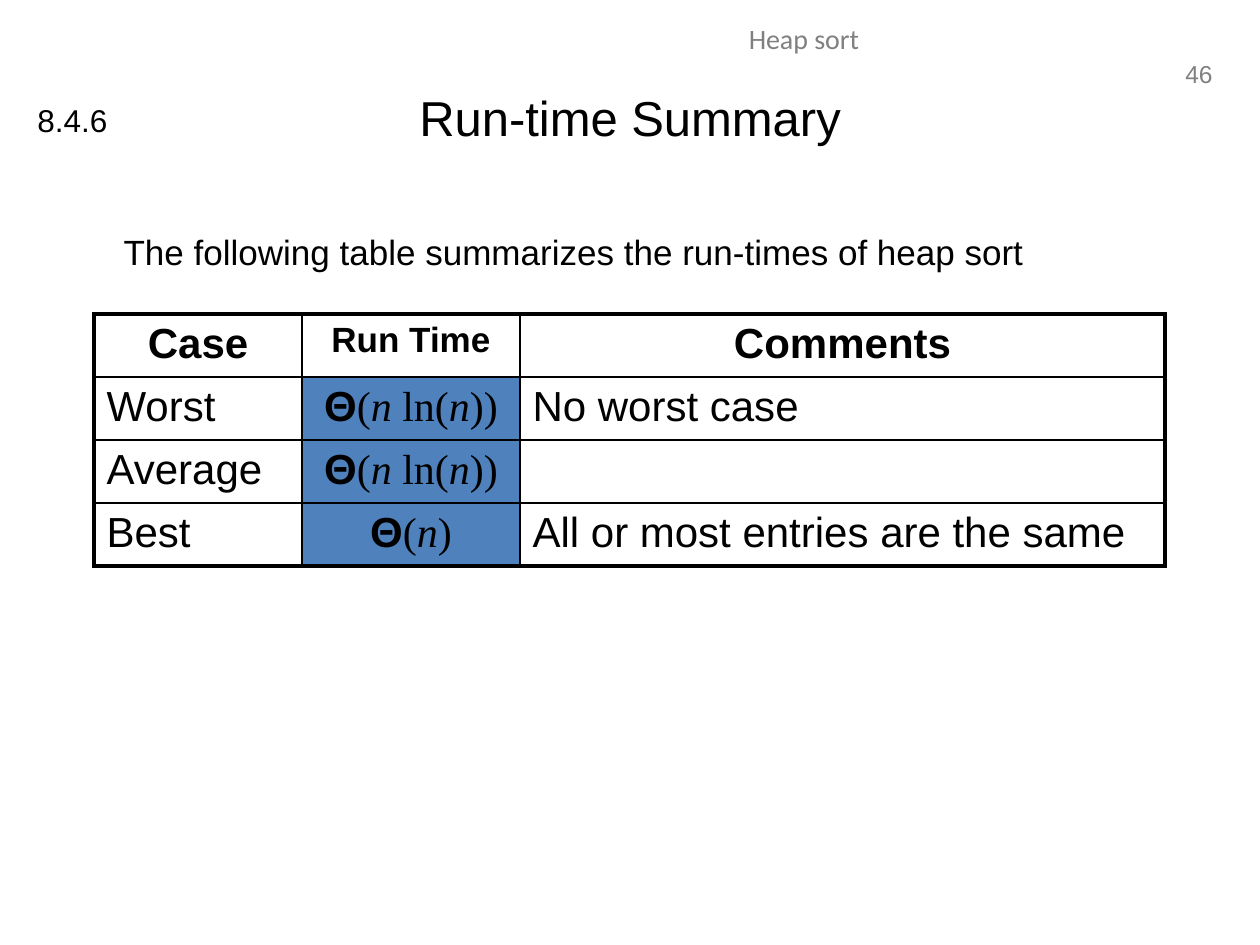
import pptx
import pptx.dml.color
import pptx.enum.text
import pptx.oxml
import pptx.oxml.ns
import pptx.util

SCALE = 914400 / 126  # EMU in one px
COLORS = {"text": "000000", "muted": "808080", "accent": "4F81BD"}
ALIGN = pptx.enum.text.PP_ALIGN
ANCHOR = pptx.enum.text.MSO_ANCHOR
HEAVY, THIN = 2.25, 1


def px(length):
    return pptx.util.Emu(round(length * SCALE))


def rgb(name):
    return pptx.dml.color.RGBColor.from_string(COLORS[name])


def place(shape, box):
    shape.left, shape.top, shape.width, shape.height = map(px, box)


def write_text(text_frame, text, size=24, font="Arial", color="text",
               bold=False, align=ALIGN.LEFT):
    """Text is a string, or a list of (string, run format) pairs."""
    paragraph = text_frame.paragraphs[0]
    paragraph.alignment = align
    paragraph.space_before = pptx.util.Pt(0)
    pieces = [(text, {})] if isinstance(text, str) else text
    for piece, changes in pieces:
        run = paragraph.add_run()
        run.text = piece
        run.font.size = pptx.util.Pt(size)
        run.font.name = changes.get("font", font)
        run.font.bold = changes.get("bold", bold)
        run.font.italic = changes.get("italic", False)
        run.font.color.rgb = rgb(color)


def add_label(slide, box, text, wrap=False, **text_format):
    shape = slide.shapes.add_textbox(*map(px, box))
    shape.text_frame.word_wrap = wrap
    write_text(shape.text_frame, text, **text_format)


def add_header(slide, box):
    left, top, width, height = box
    add_label(slide, (left + width - 90, top + 38, 55, 42), "46",
              size=14, color="muted", align=ALIGN.RIGHT)
    add_label(slide, (left + 402, top, 804, 50), "Heap sort", wrap=True,
              size=16, font="Calibri", color="muted", align=ALIGN.CENTER)
    add_label(slide, (left + 25, top + 80, 96, 50), "8.4.6", size=18)


def fill_title(slide, box):
    title = slide.shapes.title
    place(title, box)
    title.text_frame.vertical_anchor = ANCHOR.MIDDLE
    write_text(title.text_frame, "Run-time Summary", size=28, align=ALIGN.CENTER)


def fill_body(slide, box):
    body = slide.placeholders[1]
    place(body, box)
    properties = body.text_frame.paragraphs[0]._p.get_or_add_pPr()
    properties.set("marL", str(px(48)))
    properties.set("indent", "0")
    properties.append(pptx.oxml.parse_xml(
        f"<a:buNone {pptx.oxml.ns.nsdecls('a')}/>"))
    write_text(body.text_frame,
               "The following table summarizes the run-times of heap sort", size=20)


def set_borders(cell, **widths):
    properties = cell._tc.get_or_add_tcPr()
    for side in "LRTB":
        properties.append(pptx.oxml.parse_xml(
            f'<a:ln{side} {pptx.oxml.ns.nsdecls("a")} w="{pptx.util.Pt(widths[side])}">'
            f'<a:solidFill><a:srgbClr val="{COLORS["text"]}"/></a:solidFill>'
            f'</a:ln{side}>'))


def theta(*pieces):
    """Bold theta, then serif pieces with every n in italics."""
    return [("Θ", {"bold": True})] + [
        (piece, {"font": "Times New Roman", "italic": piece.strip() == "n"})
        for piece in pieces]


def add_summary_table(slide, box):
    rows = [
        ("Case", "Run Time", "Comments"),
        ("Worst", theta("(", "n ", "ln(", "n", "))"), "No worst case"),
        ("Average", theta("(", "n", " ln(", "n", "))"), ""),
        ("Best", theta("(", "n", ")"), "All or most entries are the same"),
    ]
    widths = (208, 218, 645)
    last_row, last_column = len(rows) - 1, len(widths) - 1
    table = slide.shapes.add_table(len(rows), len(widths), *map(px, box)).table
    table.first_row = table.horz_banding = False
    for column, width in zip(table.columns, widths):
        column.width = px(width)
    for i, row in enumerate(rows):
        for j, text in enumerate(row):
            cell = table.cell(i, j)
            set_borders(cell,
                        L=HEAVY if j == 0 else THIN,
                        R=HEAVY if j == last_column else THIN,
                        T=HEAVY if i == 0 else THIN,
                        B=HEAVY if i == last_row else THIN)
            if i > 0 and j == 1:
                cell.fill.solid()
                cell.fill.fore_color.rgb = rgb("accent")
            else:
                cell.fill.background()
            if text:
                write_text(cell.text_frame, text, bold=i == 0,
                           size=20 if (i, j) == (0, 1) else 24,
                           align=ALIGN.CENTER if i == 0 or j == 1 else ALIGN.LEFT)


def main():
    presentation = pptx.Presentation()
    presentation.slide_width, presentation.slide_height = px(1260), px(945)
    slide = presentation.slides.add_slide(presentation.slide_layouts[1])
    add_header(slide, (0, 15, 1260, 130))
    fill_title(slide, (63, 38, 1134, 158))
    fill_body(slide, (63, 224, 1134, 620))
    add_summary_table(slide, (94, 314, 1071, 236))
    presentation.save("out.pptx")


if __name__ == "__main__":
    main()
